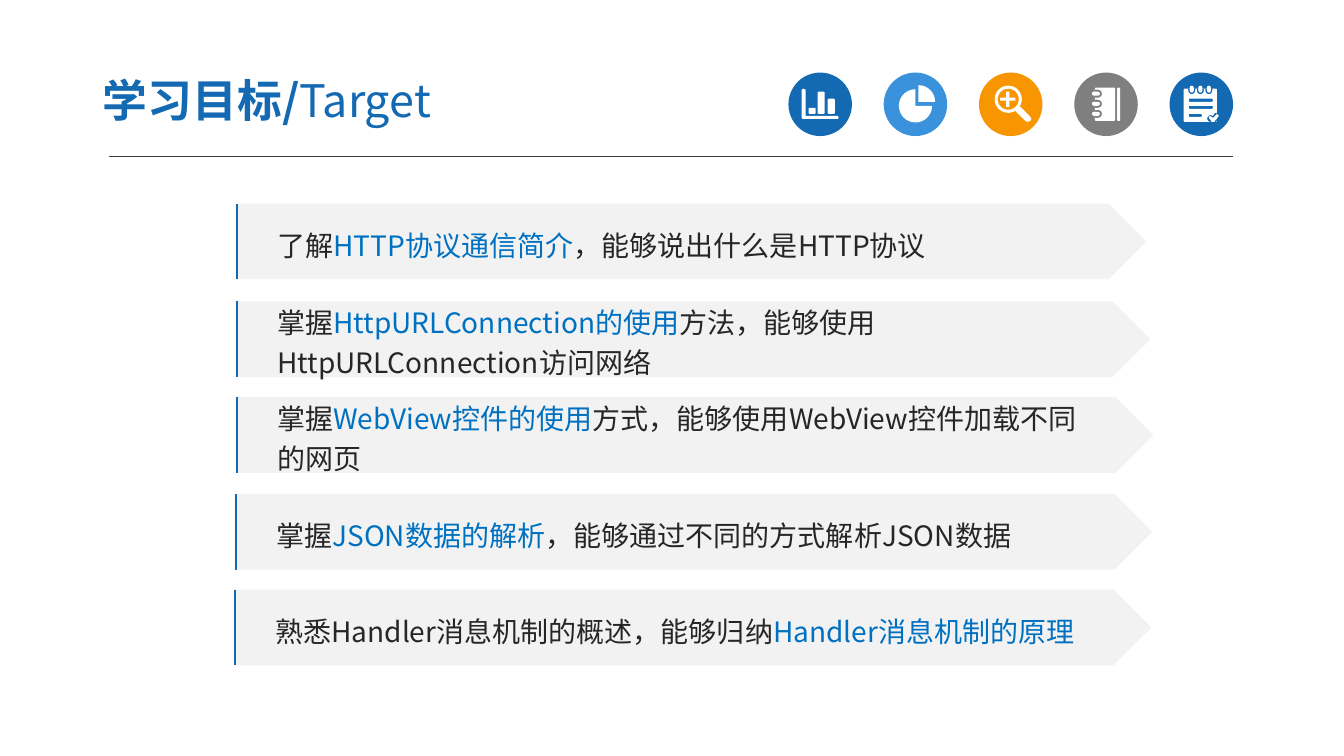
from dataclasses import dataclass
from math import cos, radians, sin

from lxml.etree import SubElement
from pptx import Presentation
from pptx.dml.color import RGBColor
from pptx.enum.shapes import MSO_CONNECTOR, MSO_SHAPE
from pptx.enum.text import MSO_ANCHOR, PP_ALIGN
from pptx.oxml.ns import qn
from pptx.util import Inches, Pt


@dataclass(frozen=True)
class Theme:
    font: str = "Noto Sans CJK SC"
    title_size: int = 32
    goal_size: int = 20
    blue: str = "1369B2"
    light_blue: str = "3992DB"
    orange: str = "F79600"
    gray: str = "7F7F7F"
    white: str = "FFFFFF"
    panel: str = "F2F2F2"
    rule: str = "404040"
    text: str = "262626"
    highlight: str = "0070C0"


THEME = Theme()
DISC_SIZE = 0.63
GOAL_HEIGHT = 0.75

# Left, top and width of each arrow, then its lines; text between bars is highlighted.
GOALS = [
    (2.34, 2.02, 9.03, ["了解|HTTP协议通信简介|，能够说出什么是HTTP协议"]),
    (2.34, 2.99, 9.07, ["掌握|HttpURLConnection的使用|方法，能够使用",
                        "HttpURLConnection访问网络"]),
    (2.34, 3.94, 9.1, ["掌握|WebView控件的使用|方式，能够使用WebView控件加载不同",
                       "的网页"]),
    (2.33, 4.9, 9.1, ["掌握|JSON数据的解析|，能够通过不同的方式解析JSON数据"]),
    (2.32, 5.85, 9.1, ["熟悉Handler消息机制的概述，能够归纳|Handler消息机制的原理|"]),
]


def color(value):
    return RGBColor.from_string(value)


def fill_plain(shape, fill):
    shape.shadow.inherit = False
    shape.fill.solid()
    shape.fill.fore_color.rgb = color(fill)
    shape.line.fill.background()


def add_filled(slide, kind, left, top, width, height, fill):
    shape = slide.shapes.add_shape(
        kind, Inches(left), Inches(top), Inches(width), Inches(height))
    fill_plain(shape, fill)
    return shape


def in_emu(points):
    return [(Inches(x), Inches(y)) for x, y in points]


def add_symbol(slide, contours):
    """Draw closed contours as one white shape; a contour inside another is a hole."""
    first, *others = [in_emu(contour) for contour in contours]
    builder = slide.shapes.build_freeform(*first[0])
    builder.add_line_segments(first[1:], close=True)
    for contour in others:
        builder.move_to(*contour[0])
        builder.add_line_segments(contour[1:], close=True)
    fill_plain(builder.convert_to_shape(), THEME.white)


def arc(center_x, center_y, radius, start, stop, steps):
    """Points clockwise from start to stop, in degrees from three o'clock."""
    angles = [radians(start + (stop - start) * step / steps) for step in range(steps + 1)]
    return [(center_x + radius * cos(angle), center_y + radius * sin(angle))
            for angle in angles]


def circle(center_x, center_y, radius):
    return arc(center_x, center_y, radius, 0, 360, 24)[:-1]


def rounded(left, top, width, height, radius=0.01):
    right, bottom = left + width - radius, top + height - radius
    left, top = left + radius, top + radius
    corners = [(right, bottom), (left, bottom), (left, top), (right, top)]
    return [point for index, (x, y) in enumerate(corners)
            for point in arc(x, y, radius, index * 90, index * 90 + 90, 2)]


def bar_chart():
    axis = [(7.95, 0.89), (7.97, 0.88), (7.99, 0.89), (7.99, 1.15),
            (8.31, 1.15), (8.32, 1.17), (8.31, 1.18), (7.96, 1.18), (7.95, 1.17)]
    bars = [rounded(left, top, 0.07, 1.13 - top)
            for left, top in ((8.02, 1.07), (8.11, 0.91), (8.21, 0.98))]
    return [axis, *bars]


def pie_chart():
    return [[(9.11, 1.01), *arc(9.11, 1.01, 0.165, -90, 0, 8)],
            [(9.08, 1.05), *arc(9.08, 1.05, 0.165, 0, 270, 20)]]


def magnifier():
    handle = [(10.07, 1.1), (10.12, 1.06), (10.21, 1.15), (10.23, 1.18),
              (10.22, 1.2), (10.19, 1.21), (10.17, 1.2)]
    plus = [(9.92, 0.97), (9.98, 0.97), (9.98, 0.91), (10.01, 0.91),
            (10.01, 0.97), (10.07, 0.97), (10.07, 1), (10.01, 1),
            (10.01, 1.06), (9.98, 1.06), (9.98, 1), (9.92, 1)]
    return [circle(10, 0.985, 0.135), circle(10, 0.985, 0.105), plus, handle]


def notebook():
    contours = [rounded(10.86, 0.87, 0.2, 0.33), rounded(11.08, 0.87, 0.03, 0.33)]
    for middle in (0.93, 1.03, 1.13):
        notch = [(10.86, middle + 0.04), (10.86, middle - 0.04),
                 *arc(10.89, middle, 0.04, -90, 90, 6)]
        contours += [notch, rounded(10.83, middle - 0.02, 0.08, 0.04, 0.02)]
    return contours


def notepad():
    contours = [rounded(11.74, 0.88, 0.33, 0.33)]
    for center in (11.82, 11.905, 11.99):
        notch = [(center - 0.035, 0.88), (center + 0.035, 0.88),
                 *arc(center, 0.9, 0.035, 0, 180, 6)]
        contours += [notch, rounded(center - 0.02, 0.85, 0.04, 0.07, 0.02)]
    for top, width in ((0.98, 0.24), (1.05, 0.24), (1.13, 0.13)):
        contours.append(rounded(11.79, top, width, 0.03))
    halo = [(12.07, 1.12), (12.07, 1.21), (12, 1.21), (11.98, 1.2),
            (11.97, 1.17), (12, 1.14), (12.03, 1.15), (12.05, 1.12)]
    check = [(11.99, 1.17), (12, 1.15), (12.03, 1.17), (12.07, 1.13),
             (12.09, 1.15), (12.04, 1.21), (12.02, 1.21)]
    return [*contours, halo, check]


def add_icons(slide):
    icons = [
        (THEME.blue, bar_chart()),
        (THEME.light_blue, pie_chart()),
        (THEME.orange, magnifier()),
        (THEME.gray, notebook()),
        (THEME.blue, notepad()),
    ]
    for index, (disc_color, contours) in enumerate(icons):
        add_filled(slide, MSO_SHAPE.OVAL, 7.82 + index * 0.945, 0.72,
                   DISC_SIZE, DISC_SIZE, disc_color)
        add_symbol(slide, contours)


def add_rule(slide):
    rule = slide.shapes.add_connector(
        MSO_CONNECTOR.STRAIGHT, Inches(1.08), Inches(1.55), Inches(12.23), Inches(1.55))
    rule.line.color.rgb = color(THEME.rule)
    rule.line.width = Pt(0.75)
    SubElement(rule._element.spPr, qn("a:effectLst"))


def style_font(font, size):
    """Set the size and the typeface for Latin and East Asian text."""
    font.size = Pt(size)
    font.name = THEME.font
    SubElement(font._element, qn("a:ea")).set("typeface", THEME.font)


def add_title(slide):
    box = slide.shapes.add_textbox(Inches(0.89), Inches(0.63), Inches(5.22), Inches(0.72))
    frame = box.text_frame
    frame.word_wrap = True
    frame.vertical_anchor = MSO_ANCHOR.MIDDLE
    frame.margin_left = frame.margin_right = Inches(0.13)
    frame.margin_top = frame.margin_bottom = Inches(0.07)
    paragraph = frame.paragraphs[0]
    paragraph.space_before = Pt(6.4)
    style_font(paragraph.font, THEME.title_size)
    paragraph.font.color.rgb = color(THEME.blue)
    for text, bold in (("学习目标/", True), ("Target", False)):
        run = paragraph.add_run()
        run.text = text
        run.font.bold = bold


def add_edge(slide, left, top):
    """Draw the upright line at the left of an arrow, in a frame 0.13 wide."""
    (foot, head, corner) = in_emu(
        [(left, top + GOAL_HEIGHT), (left, top), (left + 0.13, top)])
    builder = slide.shapes.build_freeform(*foot)
    builder.add_line_segments([head], close=False)
    builder.move_to(*corner)
    edge = builder.convert_to_shape()
    edge.shadow.inherit = False
    edge.fill.background()
    edge.line.color.rgb = color(THEME.blue)
    edge.line.width = Pt(1.5)


def add_goal(slide, left, top, width, lines):
    arrow = add_filled(slide, MSO_SHAPE.PENTAGON, left, top, width, GOAL_HEIGHT, THEME.panel)
    frame = arrow.text_frame
    frame.word_wrap = True
    frame.vertical_anchor = MSO_ANCHOR.MIDDLE
    frame.margin_left = Inches(0.41)
    for index, line in enumerate(lines):
        paragraph = frame.add_paragraph() if index else frame.paragraphs[0]
        paragraph.alignment = PP_ALIGN.LEFT
        paragraph.line_spacing = 1.2
        style_font(paragraph.font, THEME.goal_size)
        for part, text in enumerate(line.split("|")):
            if text:
                run = paragraph.add_run()
                run.text = text
                run.font.color.rgb = color(THEME.highlight if part % 2 else THEME.text)
    add_edge(slide, left + 0.01, top)


def main():
    presentation = Presentation()
    presentation.slide_width = Inches(13.33)
    presentation.slide_height = Inches(7.5)
    slide = presentation.slides.add_slide(presentation.slide_layouts[6])
    add_rule(slide)
    add_icons(slide)
    add_title(slide)
    for goal in GOALS:
        add_goal(slide, *goal)
    presentation.save("out.pptx")


if __name__ == "__main__":
    main()
